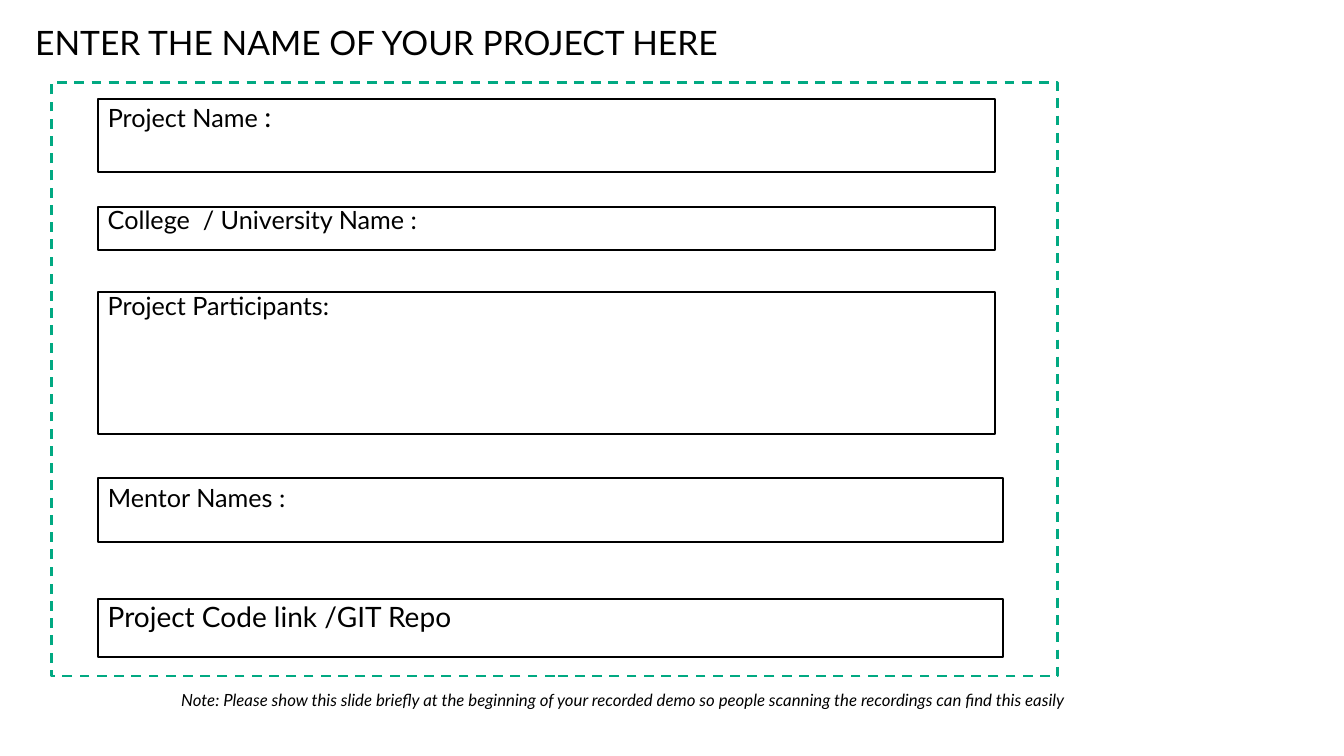
from pptx import Presentation
from pptx.dml.color import RGBColor
from pptx.enum.dml import MSO_LINE
from pptx.enum.shapes import MSO_SHAPE
from pptx.enum.text import MSO_ANCHOR, PP_ALIGN
from pptx.util import Inches, Pt

COLORS = {"ink": "000000", "frame": "01A982"}

deck = Presentation()
deck.slide_width = Inches(13.33)
deck.slide_height = Inches(7.5)
page = deck.slides.add_slide(deck.slide_layouts[6])
column = deck.slide_width / 100
row = deck.slide_height / 100


def add_outline(left, top, width, height, color, weight):
    box = page.shapes.add_shape(
        MSO_SHAPE.RECTANGLE, round(left * column), round(top * row),
        round(width * column), round(height * row))
    box.shadow.inherit = False
    box.fill.background()
    box.line.color.rgb = RGBColor.from_string(COLORS[color])
    box.line.width = Pt(weight)
    return box


def write(box, pieces, spacing, italic=False):
    box.text_frame.word_wrap = True
    box.text_frame.vertical_anchor = MSO_ANCHOR.TOP
    para = box.text_frame.paragraphs[0]
    para.alignment = PP_ALIGN.LEFT
    para.line_spacing = spacing
    for text, size in pieces:
        span = para.add_run()
        span.text = text
        span.font.name = "Lato"
        span.font.size = Pt(size)
        span.font.italic = italic
        span.font.color.rgb = RGBColor.from_string(COLORS["ink"])


title = page.shapes.add_textbox(
    round(1.88 * column), round(3.87 * row), round(93.7 * column), round(4.4 * row))
title.text_frame.margin_top = title.text_frame.margin_bottom = 0
write(title, [("ENTER THE NAME OF YOUR PROJECT HERE", 24)], 0.8)

note = page.shapes.add_textbox(
    round(12.75 * column), round(90.93 * row), round(83.2 * column), round(4.67 * row))
write(note, [("Note: Please show this slide briefly at the beginning of your recorded demo "
              "so people scanning the recordings can find this easily", 12)], 0.9, italic=True)

frame = add_outline(3.83, 10.93, 74.87, 78.53, "frame", 1.75)
frame.line.dash_style = MSO_LINE.DASH

field_left = 7.28
narrow, wide = 66.77, 67.37

inside_fields = [
    (13.07, narrow, 9.73, [("Project Name ", 18), (":", 20)]),
    (79.2, wide, 7.73, [("Project Code link /GIT Repo", 20)]),
]
for top, width, height, pieces in inside_fields:
    write(add_outline(field_left, top, width, height, "ink", 1.5), pieces, 0.9)

labelled_fields = [
    (27.33, narrow, 5.73, "College  / University Name :", 26.4, 5.33),
    (38.67, narrow, 18.8, "Project Participants:", 37.73, 5.33),
    (63.2, wide, 8.53, "Mentor Names :", 63.2, 9.47),
]
for top, width, height, text, label_top, label_height in labelled_fields:
    add_outline(field_left, top, width, height, "ink", 1.5)
    label = page.shapes.add_textbox(
        round(field_left * column), round(label_top * row),
        round((width - 0.53) * column), round(label_height * row))
    write(label, [(text, 18)], 1.0)

deck.save("out.pptx")
